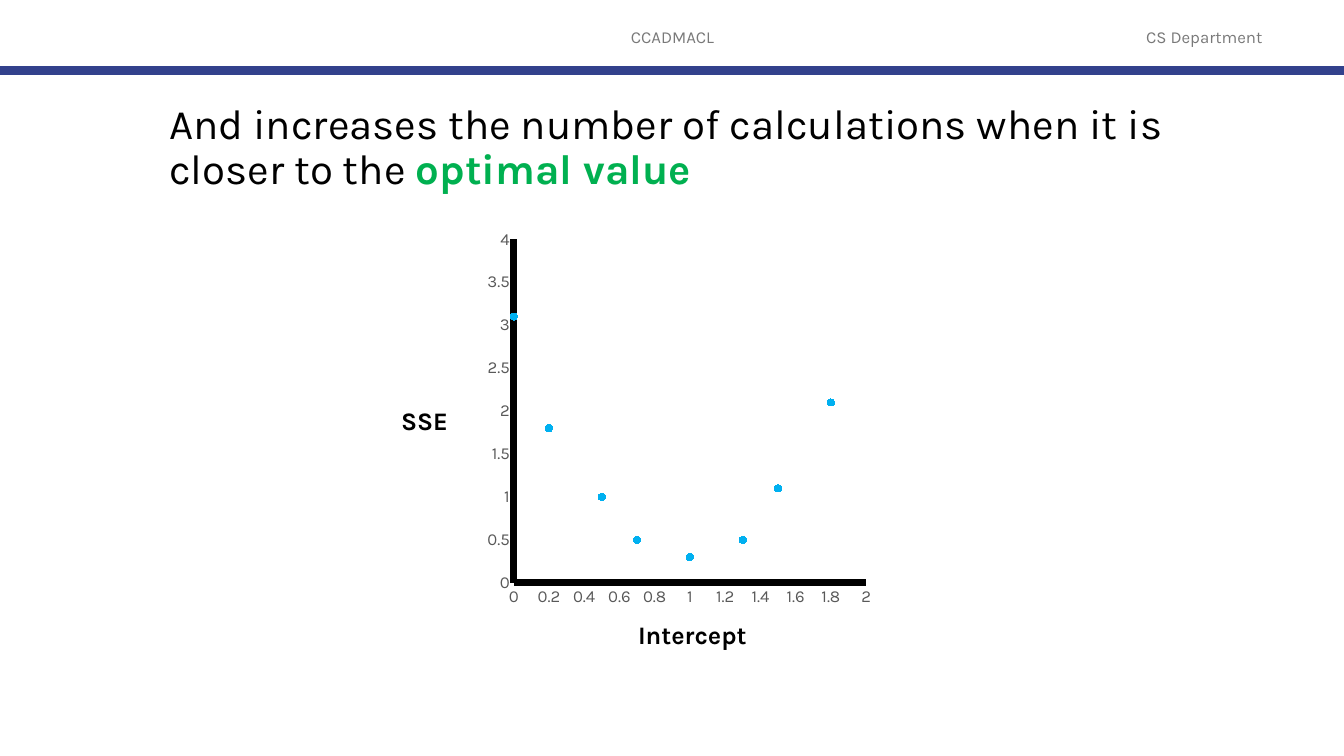
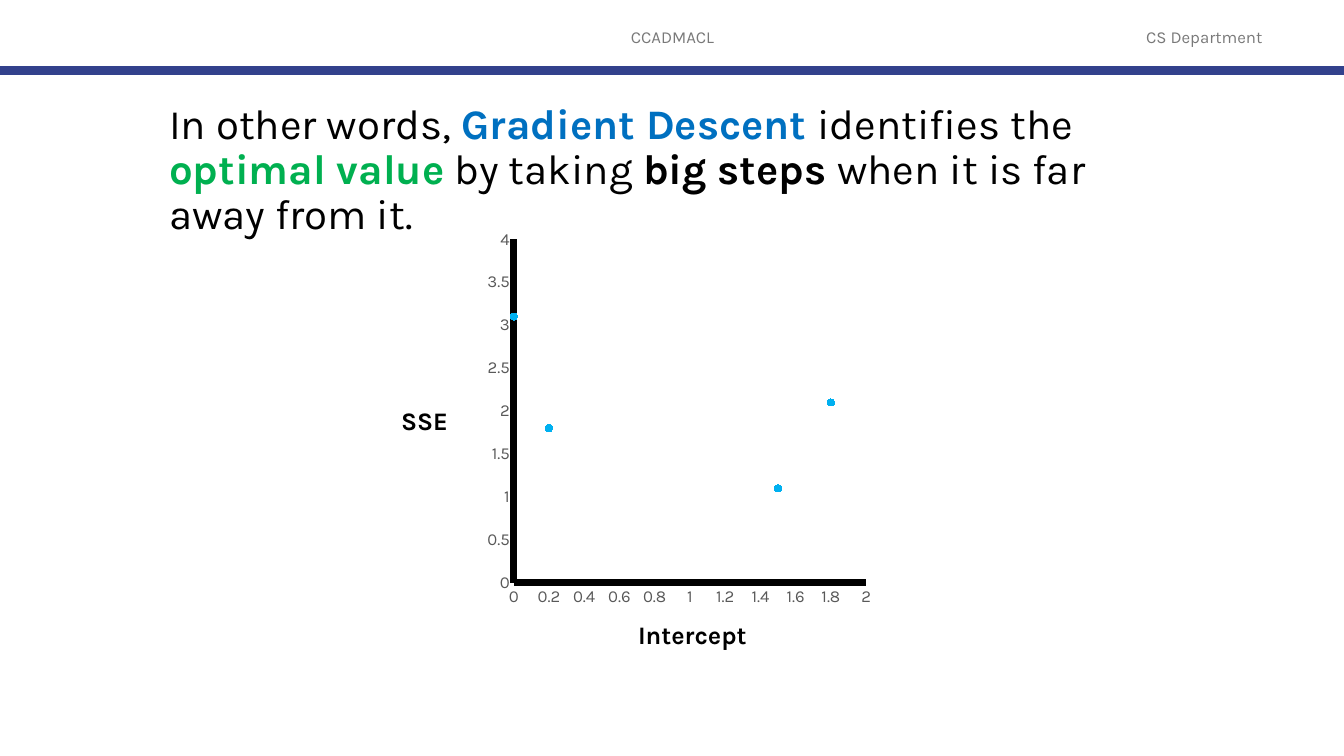
from pptx import Presentation
from pptx.chart.data import XyChartData
from pptx.dml.color import RGBColor
from pptx.enum.chart import XL_CHART_TYPE, XL_MARKER_STYLE, XL_TICK_MARK
from pptx.enum.shapes import MSO_CONNECTOR
from pptx.enum.text import MSO_ANCHOR, PP_ALIGN
from pptx.oxml import parse_xml
from pptx.oxml.ns import nsdecls, qn
from pptx.util import Inches, Pt

SCATTER = XL_CHART_TYPE.XY_SCATTER
CIRCLE = XL_MARKER_STYLE.CIRCLE
NO_TICK = XL_TICK_MARK.NONE
STRAIGHT = MSO_CONNECTOR.STRAIGHT
MIDDLE = MSO_ANCHOR.MIDDLE
TOP = MSO_ANCHOR.TOP
LEFT, CENTER = PP_ALIGN.LEFT, PP_ALIGN.CENTER

FONT = "Karla"
BLACK = RGBColor(0x00, 0x00, 0x00)
GREY = RGBColor(0x79, 0x79, 0x79)
TICK_GREY = RGBColor(0x59, 0x59, 0x59)
NAVY = RGBColor(0x32, 0x41, 0x8C)
BLUE = RGBColor(0x00, 0x70, 0xC0)
GREEN = RGBColor(0x00, 0xB0, 0x50)
CYAN = RGBColor(0x00, 0xB0, 0xF0)

WIDTH, HEIGHT = 13.33, 7.5

# Content: title runs are (text, bold, colour); points are (intercept, SSE)
HEADERS = [("CCADMACL", (4.42, 0.17, 4.5, 0.4)),
           ("CS Department", (10.92, 0.17, 2.05, 0.4))]
AXIS_NAMES = [("Intercept", (6.23, 6.09, 1.35, 0.4)),
              ("SSE", (3.88, 3.97, 0.96, 0.4))]
LEFT_POINTS = [(0, 3.1), (0.2, 1.8)]
NEAR_POINTS = [(0.5, 1), (0.7, 0.5), (1, 0.3), (1.3, 0.5)]
RIGHT_POINTS = [(1.5, 1.1), (1.8, 2.1)]
EMPTY_ROWS = [(None, None)] * len(NEAR_POINTS)
SLIDES = [
    {"title": [("And increases the number of calculations when it is closer to the ", False, BLACK),
               ("optimal value", True, GREEN)],
     "width": 10.18,
     "points": LEFT_POINTS + NEAR_POINTS + RIGHT_POINTS},
    {"title": [("In other words, ", False, BLACK),
               ("Gradient Descent ", True, BLUE),
               ("identifies the ", False, BLACK),
               ("optimal value", True, GREEN),
               (" by taking ", False, BLACK),
               ("big steps ", True, BLACK),
               ("when it is far away from it.", False, BLACK)],
     "width": 10.32,
     "points": LEFT_POINTS + EMPTY_ROWS + RIGHT_POINTS},
]


def add_text(s, box, runs, size, align=LEFT, anchor=TOP):
    tf = s.shapes.add_textbox(*map(Inches, box)).text_frame
    tf.word_wrap = True
    tf.vertical_anchor = anchor
    p = tf.paragraphs[0]
    p.alignment = align
    p.font.name, p.font.size = FONT, Pt(size)
    for text, bold, color in runs:
        r = p.add_run()
        r.text = text
        r.font.bold = bold
        r.font.color.rgb = color
    return p


def add_header(s):
    for text, box in HEADERS:
        add_text(s, box, [(text, False, GREY)], 12, CENTER, MIDDLE)
    rule = s.shapes.add_connector(STRAIGHT, 0, Inches(0.7), Inches(WIDTH), Inches(0.7))
    rule.line.color.rgb = NAVY
    rule.line.width = Pt(6)
    rule._element.spPr.append(parse_xml(f"<a:effectLst {nsdecls('a')}/>"))


def style_axis(axis, top, step):
    axis.minimum_scale, axis.maximum_scale, axis.major_unit = 0, top, step
    axis.has_major_gridlines = False
    axis.major_tick_mark = axis.minor_tick_mark = NO_TICK
    axis.format.line.color.rgb = BLACK
    axis.format.line.width = Pt(5)
    font = axis.tick_labels.font
    font.name, font.size = FONT, Pt(12)
    font.color.rgb = TICK_GREY


def set_plot_area(chart, **shares):
    plot_area = chart._chartSpace.chart.plotArea
    for old in plot_area.findall(qn("c:layout")):
        plot_area.remove(old)
    parts = "".join(f'<c:{key} val="{val}"/>' for key, val in shares.items())
    plot_area.insert(0, parse_xml(
        f'<c:layout {nsdecls("c")}><c:manualLayout><c:layoutTarget val="inner"/>'
        f'<c:xMode val="edge"/><c:yMode val="edge"/>{parts}</c:manualLayout></c:layout>'))


def add_scatter(s, points):
    data = XyChartData()
    series = data.add_series("Series 1")
    for x, y in points:
        series.add_data_point(x, y)
    box = map(Inches, (4.83, 2.26, 3.81, 3.79))
    chart = s.shapes.add_chart(SCATTER, *box, data).chart
    chart.has_legend = chart.has_title = False
    chart.font.name, chart.font.size = FONT, Pt(10)
    chart.plots[0].vary_by_categories = False
    style_axis(chart.category_axis, 2, 0.2)
    style_axis(chart.value_axis, 4, 0.5)
    set_plot_area(chart, x=0.07, y=0.03, w=0.92, h=0.9)

    dots = chart.plots[0].series[0]
    dots.smooth = False
    dots.format.line.fill.background()
    dots.marker.style, dots.marker.size = CIRCLE, 5
    dots.marker.format.fill.solid()
    dots.marker.format.fill.fore_color.rgb = CYAN
    dots.marker.format.line.color.rgb = CYAN

    # Empty rows keep their place in the series but hold no value
    for pt in list(dots._element.iter(qn("c:pt"))):
        if pt.findtext(qn("c:v")) in ("None", ""):
            pt.getparent().remove(pt)


def main():
    prs = Presentation()
    prs.slide_width, prs.slide_height = Inches(WIDTH), Inches(HEIGHT)
    for content in SLIDES:
        s = prs.slides.add_slide(prs.slide_layouts[6])
        add_header(s)
        add_scatter(s, content["points"])
        for name, box in AXIS_NAMES:
            add_text(s, box, [(name, True, BLACK)], 18)
        title = add_text(s, (1.58, 0.97, content["width"], 0.91), content["title"], 30)
        title.line_spacing = 0.9
        title.space_before = Pt(10)
    prs.save("out.pptx")


if __name__ == "__main__":
    main()
